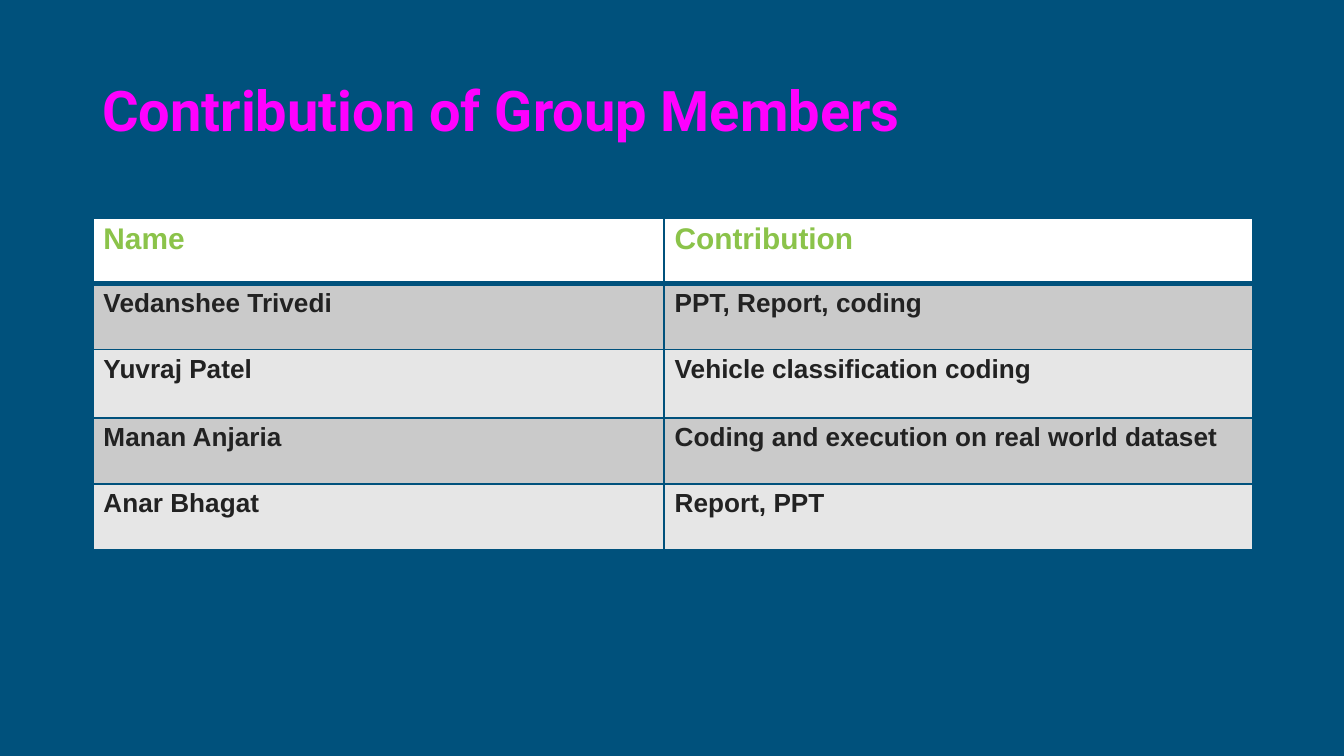
import pptx
import pptx.util
import pptx.dml.color
import pptx.enum.text
import pptx.oxml
import pptx.oxml.ns

Inches = pptx.util.Inches
Pt = pptx.util.Pt

BACK = "00517C"
BANDS = ["CACACA", "E6E6E6"]
ROWS = [
    ("Name ", "Contribution "),
    ("Vedanshee Trivedi ", "PPT, Report, coding "),
    ("Yuvraj Patel ", "Vehicle classification coding"),
    ("Manan Anjaria ", "Coding and execution on real world dataset "),
    ("Anar Bhagat ", "Report, PPT "),
]


def paint(color, code):
    color.rgb = pptx.dml.color.RGBColor.from_string(code)


def fill(part, code):
    part.fill.solid()
    paint(part.fill.fore_color, code)


def write(para, text, font, size, code):
    run = para.add_run()
    run.text = text
    run.font.name = font
    run.font.size = Pt(size)
    run.font.bold = True
    paint(run.font.color, code)


def inset(part, side, end):
    part.margin_left = part.margin_right = Inches(side)
    part.margin_top = part.margin_bottom = Inches(end)


def edge(cell, widths):
    props = cell._tc.get_or_add_tcPr()
    for spot, (side, width) in enumerate(widths.items()):
        line = pptx.oxml.parse_xml(
            f'<a:ln{side} {pptx.oxml.ns.nsdecls("a")} w="{Pt(width)}">'
            f'<a:solidFill><a:srgbClr val="{BACK}"/></a:solidFill></a:ln{side}>')
        props.insert(spot, line)


def title(slide, left, top, width, height):
    box = slide.shapes.add_textbox(
        Inches(left), Inches(top), Inches(width), Inches(height))
    frame = box.text_frame
    frame.word_wrap = True
    frame.vertical_anchor = pptx.enum.text.MSO_ANCHOR.MIDDLE
    inset(frame, 0.07, 0.04)
    para = frame.paragraphs[0]
    para.line_spacing = 0.9
    write(para, "Contribution of Group Members ", "Roboto", 30, "FF00FF")


def members(slide, left, top, cols, heights):
    table = slide.shapes.add_table(
        len(heights), len(cols), Inches(left), Inches(top),
        Inches(sum(cols)), Inches(sum(heights))).table
    for col, width in zip(table.columns, cols):
        col.width = Inches(width)
    for r, (row, height) in enumerate(zip(table.rows, heights)):
        row.height = Inches(height)
        head = r == 0
        for cell, text in zip(row.cells, ROWS[r]):
            fill(cell, "FFFFFF" if head else BANDS[(r - 1) % 2])
            inset(cell, 0.08, 0.04)
            # The rule under the header is heavier
            edge(cell, {"L": 1, "R": 1, "T": 3 if r == 1 else 1,
                        "B": 3 if head else 1})
            write(cell.text_frame.paragraphs[0], text, "Arial",
                  16 if head else 14, "8BC34A" if head else "222222")


# Slide and background, 16 by 9
deck = pptx.Presentation()
deck.slide_width = Inches(10)
deck.slide_height = deck.slide_width * 9 // 16
slide = deck.slides.add_slide(deck.slide_layouts[6])
fill(slide.background, BACK)

# Heading and table
title(slide, 0.69, 0.3, 8.62, 1.09)
members(slide, 0.69, 1.62, [4.25, 4.38], [0.49, 0.49, 0.51, 0.49, 0.49])

deck.save("out.pptx")
